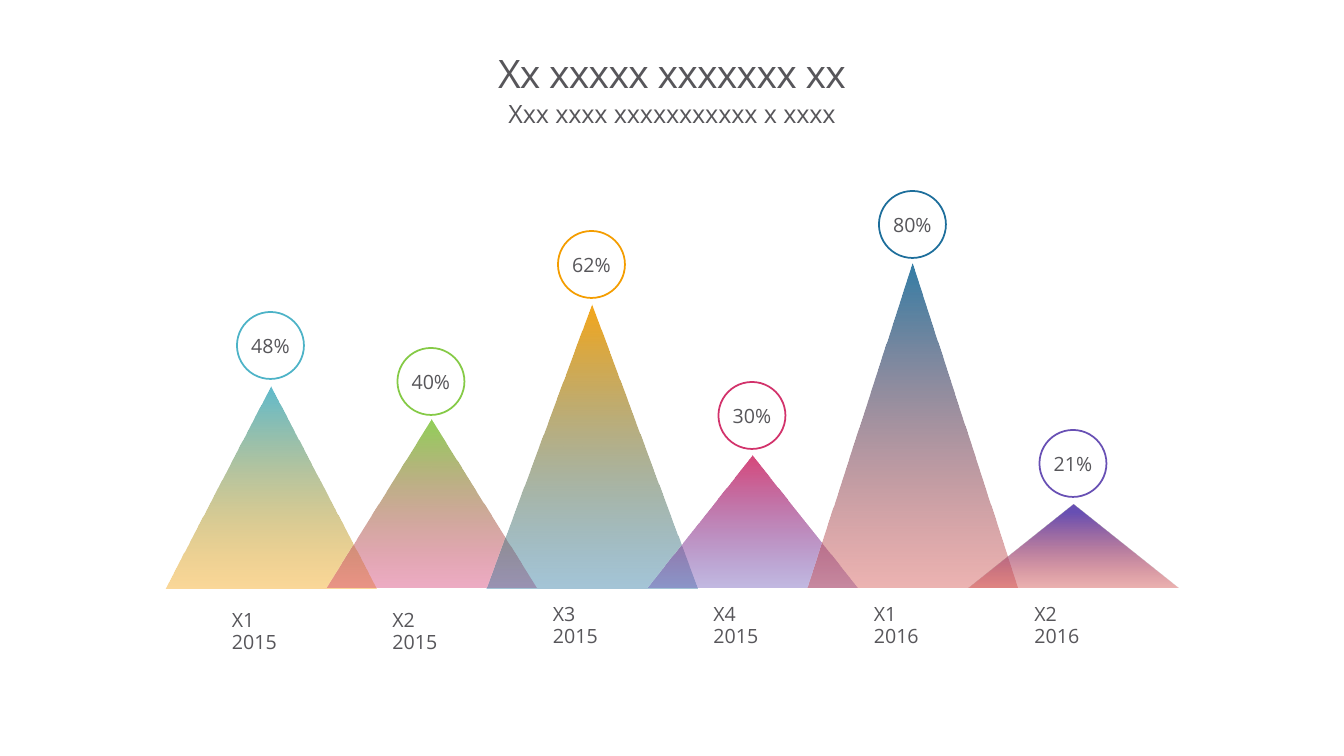
from lxml.etree import SubElement
from pptx import Presentation
from pptx.dml.color import RGBColor
from pptx.enum.shapes import MSO_SHAPE as SHAPE
from pptx.enum.text import MSO_ANCHOR as ANCHOR, PP_ALIGN as ALIGN
from pptx.oxml.ns import qn
from pptx.util import Pt

PX = 914400 / 100.8
FONT = "Open Sans"
GREY = "57565A"
TEAL, GREEN, ORANGE = "4DB3C7", "85CA46", "F49D00"
PINK, BLUE, PURPLE, RED = "D2326B", "1D6E9B", "6850B4", "CF423F"
BASELINE = 588
PEAK_WIDTH = 210
FIRST_LEFT = 166
STEP = 160.5
CIRCLE = 67

# label, percent, peak height, circle top, label top, top colour, bottom colour
PEAKS = [
    ("X1 2015", "48%", 201, 312, 606, TEAL, ORANGE),
    ("X2 2015", "40%", 168, 348, 606, GREEN, PINK),
    ("X3 2015", "62%", 283, 231, 600, ORANGE, BLUE),
    ("X4 2015", "30%", 132, 382, 600, PINK, PURPLE),
    ("X1 2016", "80%", 324, 191, 600, BLUE, RED),
    ("X2 2016", "21%", 83, 430, 600, PURPLE, RED),
]


def px(*lengths):
    return [round(length * PX) for length in lengths]


def rgb(color):
    return RGBColor.from_string(color)


def write(box, text, size, align, line_spacing=1.0, tracking=0):
    """Add one styled run; tracking is in hundredths of a point."""
    para = box.text_frame.paragraphs[0]
    para.alignment = align
    para.line_spacing = line_spacing
    span = para.add_run()
    span.text = text
    span.font.name = FONT
    span.font.size = Pt(size)
    span.font.color.rgb = rgb(GREY)
    if tracking:
        span.font._element.set("spc", str(tracking))


def clear_margins(frame):
    frame.margin_left = frame.margin_right = 0
    frame.margin_top = frame.margin_bottom = 0


def add_headings(page):
    title = page.shapes.title
    title.left, title.top, title.width, title.height = px(101, 31, 1142, 90)
    subtitle = page.shapes.add_textbox(*px(101, 103, 1142, 44))
    for box in (title, subtitle):
        clear_margins(box.text_frame)
        box.text_frame.word_wrap = True
    title.text_frame.vertical_anchor = ANCHOR.MIDDLE
    write(title, "Xx xxxxx xxxxxxx xx", 28, ALIGN.CENTER, 0.86, -50)
    write(subtitle, "Xxx xxxx xxxxxxxxxxx x xxxx", 18, ALIGN.CENTER, 0.86, -10)


def add_peak(page, left, height, stops):
    """Draw a triangle; stops are (position, colour, opacity percent)."""
    peak = page.shapes.add_shape(
        SHAPE.ISOSCELES_TRIANGLE, *px(left, BASELINE - height, PEAK_WIDTH, height))
    peak.shadow.inherit = False
    peak.line.fill.background()
    peak.fill.gradient()
    peak.fill.gradient_angle = 270
    for stop, (position, color, _) in zip(peak.fill.gradient_stops, stops):
        stop.position = position
        stop.color.rgb = rgb(color)
    colors = peak._element.spPr.iter(qn("a:srgbClr"))
    for element, (_, _, opacity) in zip(list(colors), stops):
        SubElement(element, qn("a:alpha"), val=str(opacity * 1000))


def add_circle(page, left, top, percent, color):
    circle = page.shapes.add_shape(SHAPE.OVAL, *px(left, top, CIRCLE, CIRCLE))
    circle.shadow.inherit = False
    circle.fill.background()
    circle.line.color.rgb = rgb(color)
    circle.line.width = Pt(1.25)
    circle.text_frame.word_wrap = False
    circle.text_frame.vertical_anchor = ANCHOR.MIDDLE
    write(circle, percent, 14, ALIGN.CENTER)


def add_label(page, left, top, text):
    label = page.shapes.add_textbox(*px(left, top, 90, 34))
    label.text_frame.word_wrap = True
    write(label, text, 14, ALIGN.LEFT, 0.9)


def main():
    deck = Presentation()
    deck.slide_width, deck.slide_height = px(1344, 756)
    page = deck.slides.add_slide(deck.slide_layouts[5])
    add_headings(page)
    lefts = [FIRST_LEFT + STEP * index for index in range(len(PEAKS))]
    for left, (_, _, height, _, _, top_color, base_color) in zip(lefts, PEAKS):
        start = (0.1, top_color, 100) if left == lefts[-1] else (0, top_color, 90)
        add_peak(page, left, height, [start, (1, base_color, 40)])
    for left, (_, percent, _, top, _, color, _) in zip(lefts, PEAKS):
        add_circle(page, left + 71, top, percent, color)
    for left, (text, _, _, _, top, _, _) in zip(lefts, PEAKS):
        add_label(page, left + 56, top, text)
    deck.save("out.pptx")


if __name__ == "__main__":
    main()
